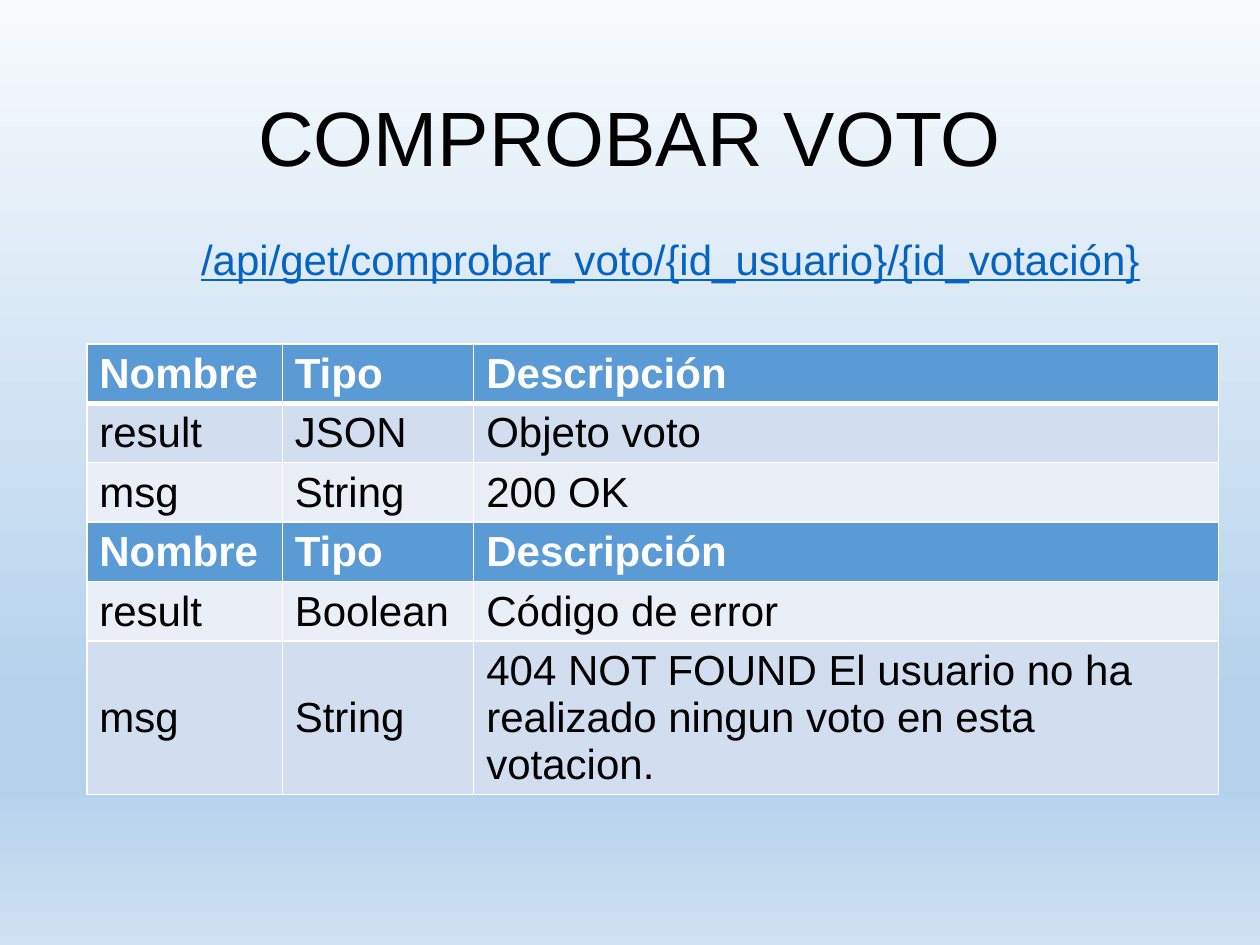
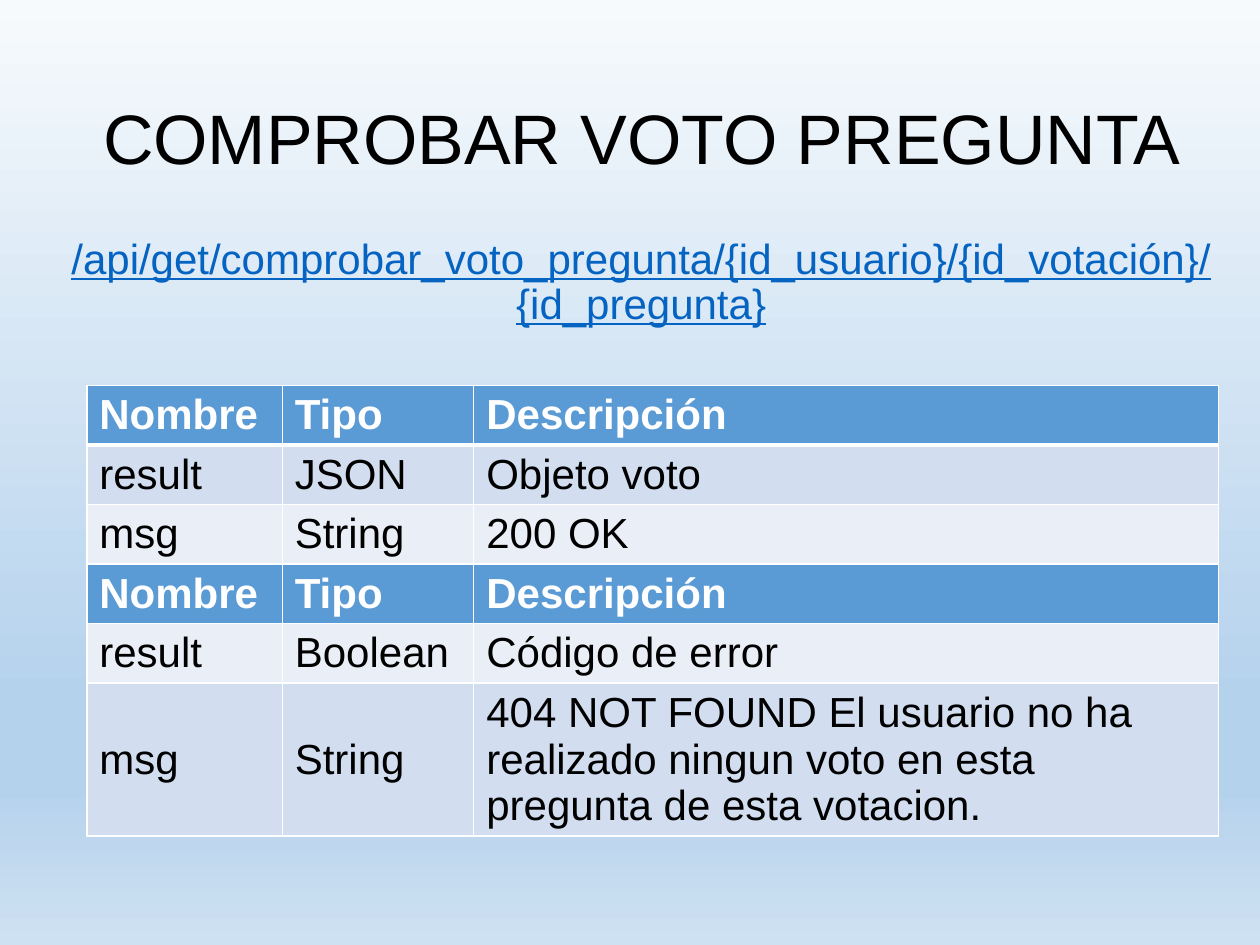
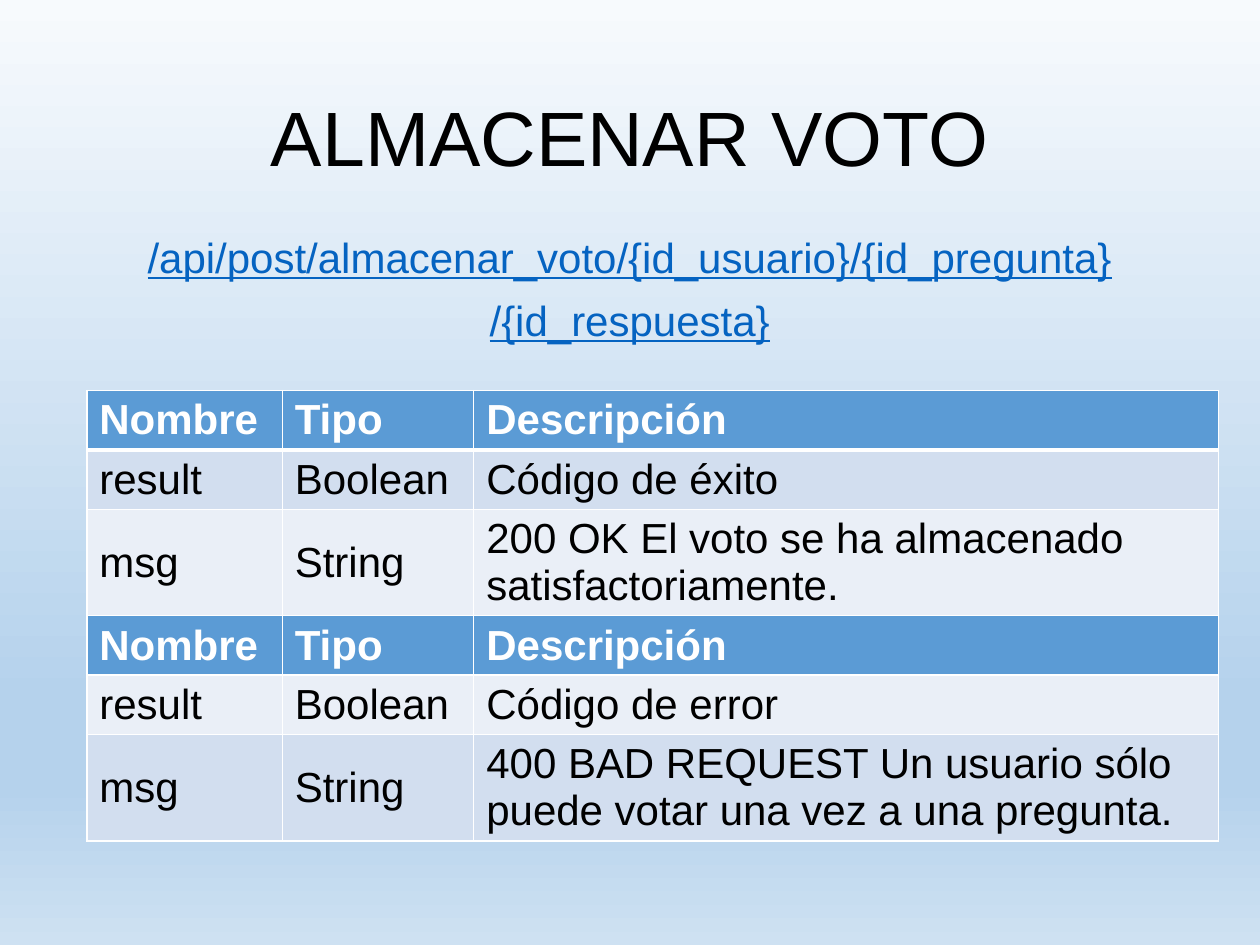
from lxml import etree
from pptx import Presentation
from pptx.dml.color import RGBColor
from pptx.enum.text import MSO_ANCHOR, MSO_AUTO_SIZE, PP_ALIGN
from pptx.oxml.ns import qn
from pptx.util import Cm, Pt

MIDDLE = MSO_ANCHOR.MIDDLE
TOP = MSO_ANCHOR.TOP
NO_FIT = MSO_AUTO_SIZE.NONE
CENTER = PP_ALIGN.CENTER

BLACK = "000000"
WHITE = "FFFFFF"
LINK = "0563C1"
HEADER = "5B9BD5"
BAND_DARK = "D2DEEF"
BAND_LIGHT = "EAEFF7"
BACKGROUND = [(0, "F7FAFD"), (74, "B5D2EC"), (83, "B5D2EC"), (100, "CEE1F2")]
ROW_FILLS = [HEADER, BAND_DARK, BAND_LIGHT, HEADER, BAND_LIGHT, BAND_DARK]
COLUMN_WIDTHS = [3.94, 3.86, 15.01]
COLUMN_NAMES = ("Nombre", "Tipo", "Descripción")
VOTE_FOUND = [("result", "JSON", "Objeto voto"), ("msg", "String", "200 OK")]
ERROR_CODE = ("result", "Boolean", "Código de error")

ENDPOINTS = [
    {
        "title": "COMPROBAR VOTO", "title_size": 44, "title_width": 21.9,
        "url": ["/api/get/comprobar_voto/{id_usuario}/{id_votación}"],
        "url_left": 1.63, "url_top": 4.7, "table_top": 6.93,
        "success": VOTE_FOUND,
        "error": "404 NOT FOUND El usuario no ha realizado ningun voto en esta votacion.",
    },
    {
        "title": "COMPROBAR VOTO PREGUNTA", "title_size": 40, "title_width": 22.38,
        "url": ["/api/get/comprobar_voto_pregunta/{id_usuario}/{id_votación}/{id_pregunta}"],
        "url_left": 1.04, "url_top": 4.67, "table_top": 7.77,
        "success": VOTE_FOUND,
        "error": "404 NOT FOUND El usuario no ha realizado ningun voto en esta "
                 "pregunta de esta votacion.",
    },
    {
        "title": "ALMACENAR VOTO", "title_size": 44, "title_width": 21.9,
        "url": ["/api/post/almacenar_voto/{id_usuario}/{id_pregunta}", "/{id_respuesta}"],
        "url_left": 0.81, "url_top": 4.65, "table_top": 7.87,
        "success": [
            ("result", "Boolean", "Código de éxito"),
            ("msg", "String", "200 OK El voto se ha almacenado satisfactoriamente."),
        ],
        "error": "400 BAD REQUEST Un usuario sólo puede votar una vez a una pregunta.",
    },
]


def set_font(paragraph, size, color, bold=False):
    font = paragraph.font
    font.name = "Arial"
    font.size = Pt(size)
    font.bold = bold
    font.color.rgb = RGBColor.from_string(color)


def place(placeholder, left, top, width, height, anchor):
    placeholder.left, placeholder.top = Cm(left), Cm(top)
    placeholder.width, placeholder.height = Cm(width), Cm(height)
    frame = placeholder.text_frame
    frame.word_wrap = True
    frame.auto_size = NO_FIT
    frame.vertical_anchor = anchor
    return frame


prs = Presentation()
prs.slide_width = Cm(25.4)
prs.slide_height = Cm(19.05)

sky = prs.slide_master.background.fill
sky.gradient()
sky.gradient_angle = 270
stops = prs.slide_master.element.find(".//" + qn("a:gsLst"))
for stop in list(stops):
    stops.remove(stop)
for percent, color in BACKGROUND:
    stop = etree.SubElement(stops, qn("a:gs"), pos=str(percent * 1000))
    etree.SubElement(stop, qn("a:srgbClr"), val=color)

for endpoint in ENDPOINTS:
    slide = prs.slides.add_slide(prs.slide_layouts[1])

    title = place(slide.shapes.title, 1.75, 1.02, endpoint["title_width"], 3.68, MIDDLE)
    title.text = endpoint["title"]
    heading = title.paragraphs[0]
    heading.alignment = CENTER
    heading.line_spacing = 0.9
    set_font(heading, endpoint["title_size"], BLACK)

    url = place(slide.placeholders[1], endpoint["url_left"], endpoint["url_top"],
                23.77, 1.35, TOP)
    url.text = "\n".join(endpoint["url"])
    for line in url.paragraphs:
        line.alignment = CENTER
        line.line_spacing = 0.9
        line.space_before = Pt(10)
        properties = line._p.get_or_add_pPr()
        properties.set("marL", "0")
        properties.set("indent", "0")
        etree.SubElement(properties, qn("a:buNone"))
        set_font(line, 24, LINK)
        line.font.underline = True

    rows = [COLUMN_NAMES, *endpoint["success"],
            COLUMN_NAMES, ERROR_CODE, ("msg", "String", endpoint["error"])]
    response = slide.shapes.add_table(len(rows), len(COLUMN_NAMES), Cm(1.75),
                                      Cm(endpoint["table_top"]), Cm(22.81), Cm(9.65))
    table = response.table
    table.horz_banding = False
    for column, width in zip(table.columns, COLUMN_WIDTHS):
        column.width = Cm(width)
    for r, (values, fill) in enumerate(zip(rows, ROW_FILLS)):
        table.rows[r].height = Cm(1.04)
        is_header = fill == HEADER
        for c, value in enumerate(values):
            cell = table.cell(r, c)
            cell.text = value
            cell.vertical_anchor = MIDDLE
            set_font(cell.text_frame.paragraphs[0], 24,
                     WHITE if is_header else BLACK, is_header)
            cell_properties = cell._tc.get_or_add_tcPr()
            for side in ("lnL", "lnR", "lnT", "lnB"):
                thick = (r, side) in ((0, "lnB"), (1, "lnT"))
                border = etree.SubElement(cell_properties, qn("a:" + side),
                                          w=str(Pt(3 if thick else 1)))
                border_fill = etree.SubElement(border, qn("a:solidFill"))
                etree.SubElement(border_fill, qn("a:srgbClr"), val=WHITE)
            cell.fill.solid()
            cell.fill.fore_color.rgb = RGBColor.from_string(fill)
    response.height = Cm(9.65)

prs.save("out.pptx")
